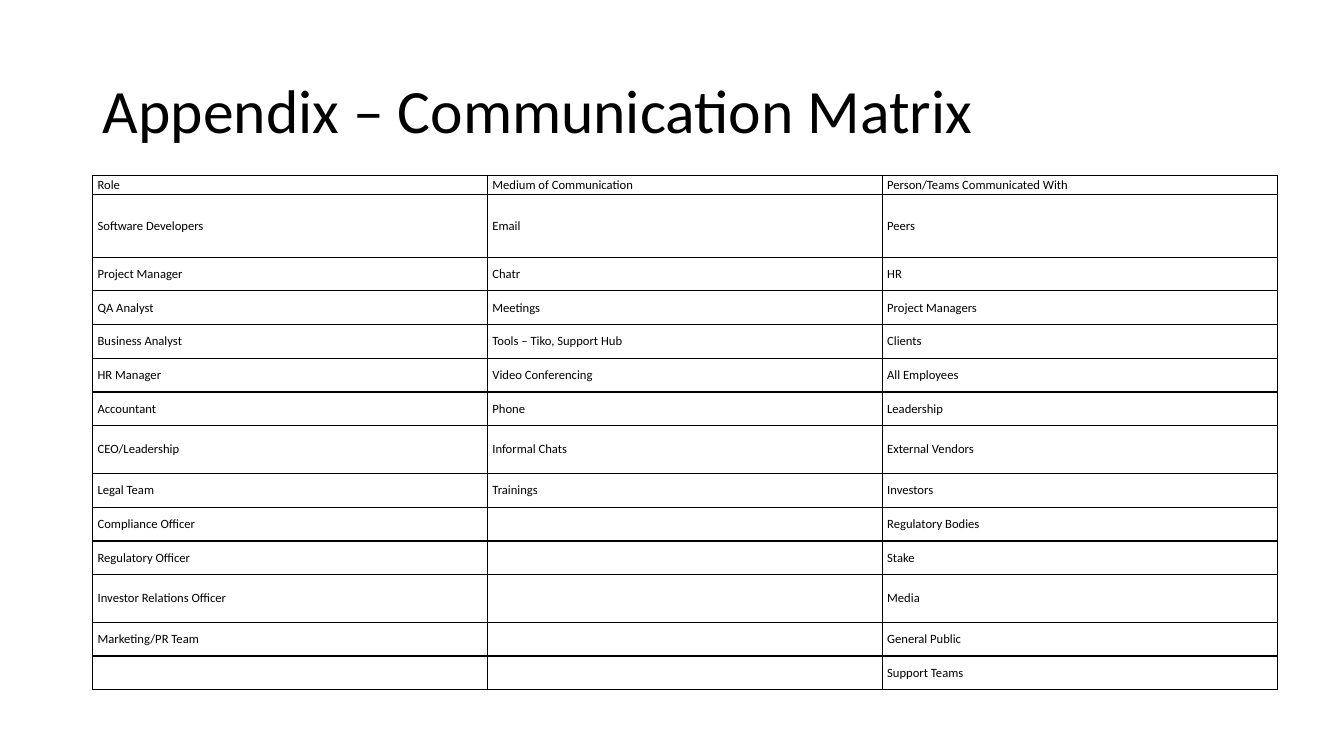
import dataclasses

import lxml.etree
import pptx
import pptx.dml.color
import pptx.enum.text
import pptx.oxml.ns
import pptx.util
from pptx.util import Cm


@dataclasses.dataclass(frozen=True)
class Theme:
    font: str = "Calibri"
    ink: str = "000000"
    title_size: float = 44
    cell_size: float = 9
    border_width: float = 1


THEME = Theme()

HEADINGS = ["Role", "Medium of Communication", "Person/Teams Communicated With"]
ROLES = [
    "Software Developers", "Project Manager", "QA Analyst", "Business Analyst",
    "HR Manager", "Accountant", "CEO/Leadership", "Legal Team",
    "Compliance Officer", "Regulatory Officer", "Investor Relations Officer",
    "Marketing/PR Team", "",
]
MEDIA = [
    "Email", "Chatr", "Meetings", "Tools – Tiko, Support Hub",
    "Video Conferencing", "Phone", "Informal Chats", "Trainings",
    "", "", "", "", "",
]
CONTACTS = [
    "Peers", "HR", "Project Managers", "Clients", "All Employees", "Leadership",
    "External Vendors", "Investors", "Regulatory Bodies", "Stake", "Media",
    "General Public", "Support Teams",
]
MATRIX = [HEADINGS, *zip(ROLES, MEDIA, CONTACTS)]

COLUMN_WIDTH = 9.95
REGULAR_HEIGHT = 0.85
SPECIAL_HEIGHTS = {0: 0.49, 1: 1.57, 7: 1.2, 11: 1.2}


def write_text(frame, text, *, size, color=THEME.ink, line_spacing=None):
    paragraph = frame.paragraphs[0]
    paragraph.alignment = pptx.enum.text.PP_ALIGN.LEFT
    if line_spacing:
        paragraph.line_spacing = line_spacing
    if not text:
        lxml.etree.SubElement(
            paragraph._p, pptx.oxml.ns.qn("a:endParaRPr"), sz=str(int(size * 100))
        )
        return
    run = paragraph.add_run()
    run.text = text
    run.font.name = THEME.font
    run.font.size = pptx.util.Pt(size)
    run.font.color.rgb = pptx.dml.color.RGBColor.from_string(color)


def add_title(slide, text):
    title = slide.shapes.title
    title.left, title.top = Cm(2.34), Cm(1.02)
    title.width, title.height = Cm(29.21), Cm(3.68)
    title.text_frame.vertical_anchor = pptx.enum.text.MSO_ANCHOR.MIDDLE
    write_text(title.text_frame, text, size=THEME.title_size, line_spacing=0.9)


def draw_borders(cell):
    qn = pptx.oxml.ns.qn
    properties = cell._tc.get_or_add_tcPr()
    for side in ("lnL", "lnR", "lnT", "lnB"):
        border = lxml.etree.SubElement(
            properties, qn(f"a:{side}"), w=str(pptx.util.Pt(THEME.border_width))
        )
        fill = lxml.etree.SubElement(border, qn("a:solidFill"))
        lxml.etree.SubElement(fill, qn("a:srgbClr"), val=THEME.ink)


def fill_cell(cell, text):
    cell.margin_left = cell.margin_right = Cm(0.12)
    cell.margin_top = cell.margin_bottom = Cm(0.05)
    cell.vertical_anchor = pptx.enum.text.MSO_ANCHOR.MIDDLE
    draw_borders(cell)
    cell.fill.background()
    write_text(cell.text_frame, text, size=THEME.cell_size)


def add_matrix(slide, matrix):
    heights = [SPECIAL_HEIGHTS.get(i, REGULAR_HEIGHT) for i in range(len(matrix))]
    columns = len(matrix[0])
    table = slide.shapes.add_table(
        len(matrix), columns, Cm(2.34), Cm(4.42),
        Cm(columns * COLUMN_WIDTH), Cm(sum(heights)),
    ).table
    table.first_row = table.horz_banding = False
    for column in table.columns:
        column.width = Cm(COLUMN_WIDTH)
    for row, height, entries in zip(table.rows, heights, matrix):
        row.height = Cm(height)
        for cell, entry in zip(row.cells, entries):
            fill_cell(cell, entry)


def main():
    deck = pptx.Presentation()
    deck.slide_width, deck.slide_height = Cm(33.87), Cm(19.05)
    slide = deck.slides.add_slide(deck.slide_layouts[5])
    add_title(slide, "Appendix – Communication Matrix")
    add_matrix(slide, MATRIX)
    deck.save("out.pptx")


if __name__ == "__main__":
    main()
